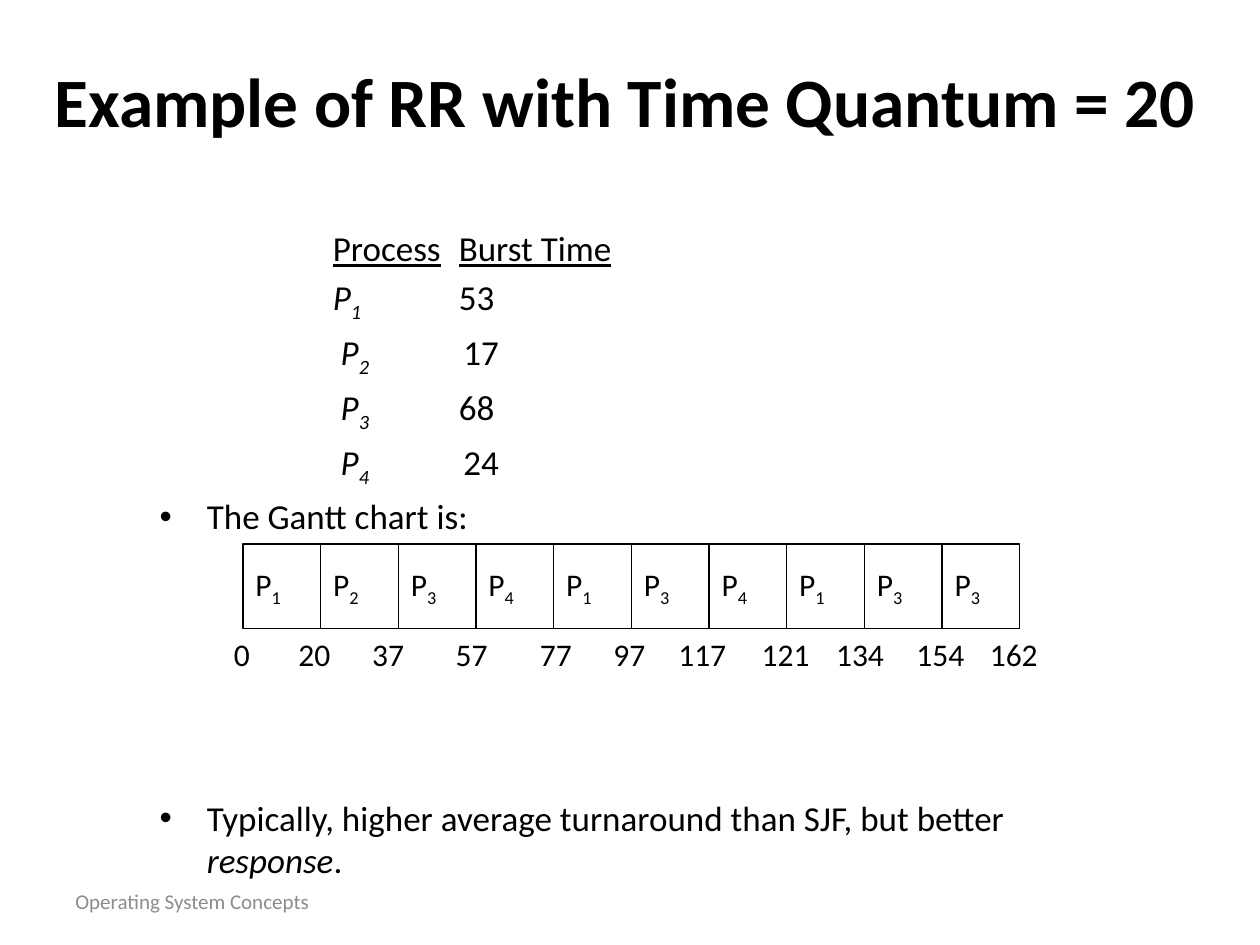
from dataclasses import dataclass

from lxml import etree
from pptx import Presentation
from pptx.dml.color import RGBColor
from pptx.enum.shapes import MSO_SHAPE
from pptx.enum.text import MSO_ANCHOR, PP_ALIGN
from pptx.oxml.ns import qn
from pptx.util import Cm, Pt

RECTANGLE = MSO_SHAPE.RECTANGLE
MIDDLE, TOP = MSO_ANCHOR.MIDDLE, MSO_ANCHOR.TOP
CENTER, LEFT = PP_ALIGN.CENTER, PP_ALIGN.LEFT

FONT = "Calibri"
COLORS = {"ink": "000000", "paper": "FFFFFF", "footer": "8C8C8C"}


@dataclass(frozen=True)
class Span:
    text: str
    italic: bool = False
    underline: bool = False
    subscript: bool = False
    bold: bool = False


@dataclass(frozen=True)
class Burst:
    process: str
    time: str
    lead: str = " "  # space before the process name
    gap: str = ""  # space before the burst time


@dataclass(frozen=True)
class Tick:
    time: str
    center: float  # cm


BURSTS = [
    Burst("1", "53", lead=""),
    Burst("2", "17", gap=" "),
    Burst("3", "68"),
    Burst("4", "24", gap=" "),
]
SCHEDULE = "1234134133"
TICKS = [
    Tick("0", 4.9), Tick("20", 6.38), Tick("37", 7.87), Tick("57", 9.55),
    Tick("77", 11.25), Tick("97", 12.73), Tick("117", 14.22), Tick("121", 15.9),
    Tick("134", 17.4), Tick("154", 19.02), Tick("162", 20.5),
]
GANTT_LEFT, GANTT_TOP = 4.9, 10.97
GANTT_WIDTH, GANTT_HEIGHT = 15.66, 1.7


def write_spans(paragraph, spans: list[Span], size: float, color: str = "ink") -> None:
    for span in spans:
        run = paragraph.add_run()
        run.text = span.text
        font = run.font
        font.name, font.size = FONT, Pt(size)
        font.color.rgb = RGBColor.from_string(COLORS[color])
        font.bold, font.italic, font.underline = span.bold, span.italic, span.underline
        if span.subscript:
            font._element.set("baseline", "-25000")


def add_text(shapes, left: float, top: float, width: float, height: float, anchor=MIDDLE):
    frame = shapes.add_textbox(Cm(left), Cm(top), Cm(width), Cm(height)).text_frame
    frame.word_wrap = True
    frame.vertical_anchor = anchor
    return frame


def add_line(shapes, box: tuple, span: Span, size: float, color: str = "ink", align=LEFT) -> None:
    paragraph = add_text(shapes, *box).paragraphs[0]
    paragraph.alignment = align
    write_spans(paragraph, [span], size, color)


def add_hanging(paragraph, spans: list[Span], before: float = 4, bullet: bool = False) -> None:
    """Write a body paragraph with a hanging indent and one-inch tab steps."""
    paragraph.space_before = Pt(before)
    properties = paragraph._p.get_or_add_pPr()
    properties.set("marL", str(Cm(0.95)))
    properties.set("indent", str(-Cm(0.95)))
    properties.set("defTabSz", str(Cm(2.54)))
    if bullet:
        etree.SubElement(properties, qn("a:buFont"), typeface="Arial")
        etree.SubElement(properties, qn("a:buChar"), char="•")
    else:
        etree.SubElement(properties, qn("a:buNone"))
    write_spans(paragraph, spans, 20)


def add_gantt_cell(shapes, index: int, process: str) -> None:
    width = GANTT_WIDTH / len(SCHEDULE)
    cell = shapes.add_shape(RECTANGLE, Cm(GANTT_LEFT + index * width), Cm(GANTT_TOP),
                            Cm(width), Cm(GANTT_HEIGHT))
    cell.shadow.inherit = False
    cell.fill.solid()
    cell.fill.fore_color.rgb = RGBColor.from_string(COLORS["paper"])
    cell.line.color.rgb = RGBColor.from_string(COLORS["ink"])
    cell.line.width = Pt(0.75)
    frame = cell.text_frame
    frame.word_wrap = True
    frame.vertical_anchor = MIDDLE
    frame.paragraphs[0].alignment = LEFT
    write_spans(frame.paragraphs[0], [Span("P"), Span(process, subscript=True)], 18)


def add_tick(shapes, tick: Tick) -> None:
    width = 0.51 + 0.36 * len(tick.time)
    box = (tick.center - width / 2, GANTT_TOP + GANTT_HEIGHT, width, 1.02)
    add_line(shapes, box, Span(tick.time), 18)


def main() -> None:
    deck = Presentation()
    deck.slide_width, deck.slide_height = Cm(25.4), Cm(19.05)
    slide = deck.slides.add_slide(deck.slide_layouts[6])

    # Footer and title
    add_line(slide.shapes, (1.27, 17.65, 5.92, 1.02),
             Span("Operating System Concepts"), 12, "footer")
    add_line(slide.shapes, (0.64, 0.85, 23.93, 2.33),
             Span("Example of RR with Time Quantum = 20", bold=True), 39.6, align=CENTER)

    # Burst times
    body = add_text(slide.shapes, 2.97, 4.45, 19.53, 11.43, TOP)
    add_hanging(body.paragraphs[0], [
        Span("\t\t"), Span("Process", underline=True),
        Span("\t"), Span("Burst Time", underline=True),
    ])
    for burst in BURSTS:
        add_hanging(body.add_paragraph(), [
            Span("\t\t" + burst.lead), Span("P", italic=True),
            Span(burst.process + "\t" + burst.gap, italic=True, subscript=True),
            Span(burst.time),
        ])

    # Remarks above and below the Gantt chart
    add_hanging(body.add_paragraph(), [Span("The Gantt chart is:")], bullet=True)
    add_hanging(body.add_paragraph(), [
        Span("Typically, higher average turnaround than SJF, but better "),
        Span("response", italic=True), Span("."),
    ], before=148, bullet=True)

    # Gantt chart with its time scale
    gantt = slide.shapes.add_group_shape().shapes
    for index, process in enumerate(SCHEDULE):
        add_gantt_cell(gantt, index, process)
    for tick in TICKS:
        add_tick(gantt, tick)

    deck.save("out.pptx")


if __name__ == "__main__":
    main()
